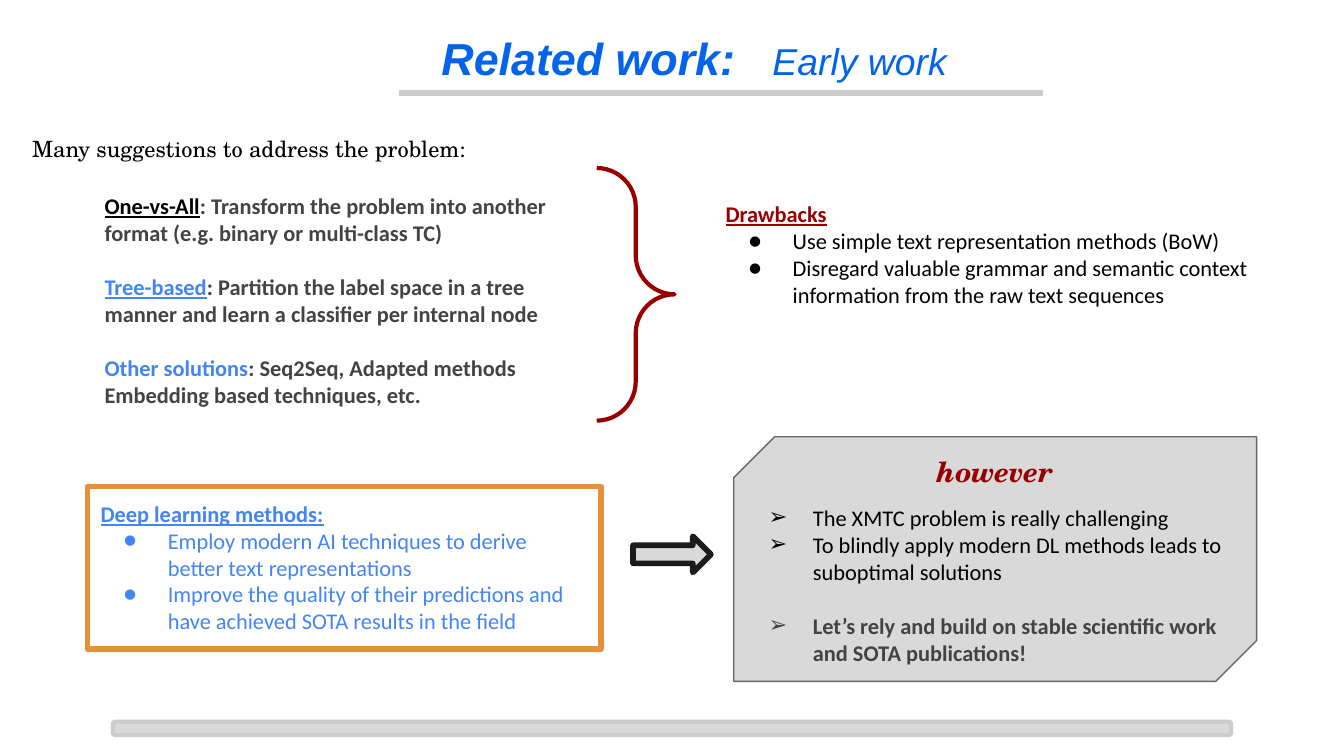
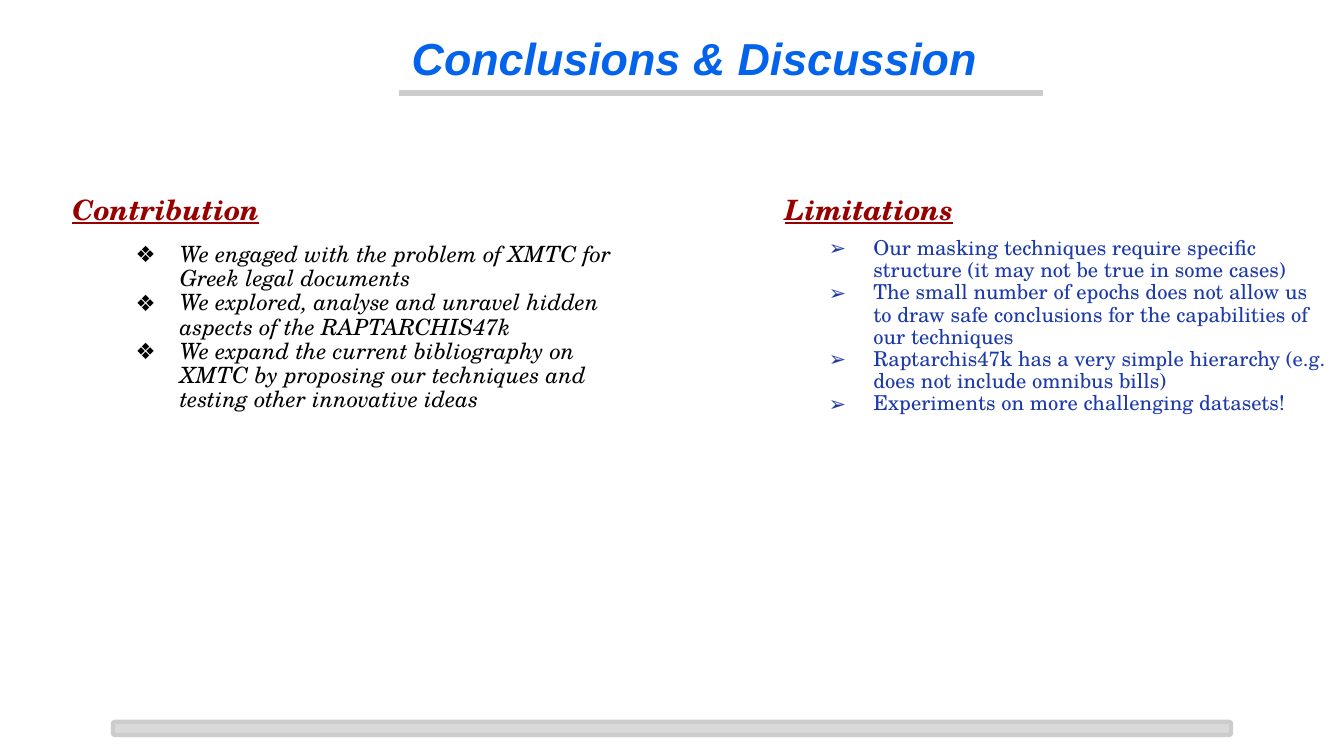
"""Builds two slides, related work and conclusions, of a talk on XMTC."""
from lxml import etree
from pptx import Presentation
from pptx import util as u
from pptx.dml.color import RGBColor
from pptx.enum import shapes, text
from pptx.oxml.ns import qn

C = {"blue": "0363EB", "rule": "CCCCCC", "grey": "D9D9D9", "black": "000000",
     "dark": "434343", "sky": "4285F4", "red": "980000", "orange": "E69138",
     "ink": "1D1A1D", "edge": "666666", "navy": "1C3AA9"}
TITLE = {"name": "Arial", "size": 24, "color": "blue", "bold": True, "italic": True}
BODY = {"name": "Calibri", "size": 12, "color": "black"}
SERIF = {**BODY, "name": "TeX Gyre Schola"}
HEAD = {**SERIF, "size": 15, "color": "red", "bold": True, "italic": True}
BOLD = {**BODY, "color": "dark", "bold": True}
SKY = {**BODY, "color": "sky"}
LABEL = {"bold": True, "underline": True}
TIGHT = {"line_spacing": 0.9}
CENTER = {"alignment": text.PP_ALIGN.CENTER}
GAP = {"space_before": u.Pt(14.6)}

prs = Presentation()
prs.slide_width, prs.slide_height = u.Inches(10), u.Inches(5.625)
CELL = prs.slide_width / 100


def write(s, box, paras, sp=None, grow=True, anchor=text.MSO_ANCHOR.TOP):
    """Fill a shape, or a new text box, with (runs, format, bullet) paragraphs."""
    sp = sp or s.shapes.add_textbox(*[round(v * CELL) for v in box])
    tf = sp.text_frame
    fit = text.MSO_AUTO_SIZE.SHAPE_TO_FIT_TEXT if grow else text.MSO_AUTO_SIZE.NONE
    frame = {"word_wrap": True, "auto_size": fit, "vertical_anchor": anchor}
    frame.update({f"margin_{side}": u.Inches(0.1) for side in ("left", "right", "top", "bottom")})
    for key, value in frame.items():
        setattr(tf, key, value)
    for i, (runs, fmt, bullet) in enumerate(paras):
        p = tf.add_paragraph() if i else tf.paragraphs[0]
        for key, value in {"alignment": text.PP_ALIGN.LEFT, **fmt}.items():
            setattr(p, key, value)
        for words, font in runs:
            r = p.add_run()
            r.text = words
            for key, value in font.items():
                if key == "color":
                    r.font.color.rgb = RGBColor.from_string(C[value])
                elif key == "spacing":
                    r.font._element.set("spc", str(value))
                else:
                    setattr(r.font, key, u.Pt(value) if key == "size" else value)
        if bullet:
            pPr = p._p.get_or_add_pPr()
            pPr.set("marL", str(u.Inches(0.5)))
            pPr.set("indent", str(-u.Inches(0.33)))
            clr = etree.SubElement(pPr, qn("a:buClr"))
            etree.SubElement(clr, qn("a:srgbClr")).set("val", C[runs[0][1]["color"]])
            etree.SubElement(pPr, qn("a:buFont")).set("typeface", runs[0][1]["name"])
            etree.SubElement(pPr, qn("a:buChar")).set("char", bullet)


def draw(s, kind, box, fill, line, width, adj=()):
    """Add a preset shape without shadow."""
    sp = s.shapes.add_shape(getattr(shapes.MSO_SHAPE, kind), *[round(v * CELL) for v in box])
    sp.shadow.inherit = False
    if fill:
        sp.fill.solid()
        sp.fill.fore_color.rgb = RGBColor.from_string(C[fill])
    else:
        sp.fill.background()
    sp.line.color.rgb = RGBColor.from_string(C[line])
    sp.line.width = u.Pt(width)
    for i, value in enumerate(adj):
        sp.adjustments[i] = value
    return sp


titles = [
    [("Related work:", TITLE), (" ", {**TITLE, "spacing": 1330}),
     ("Early work", {**TITLE, "size": 20, "bold": False})],
    [("Conclusions & Discussion", TITLE)],
]
slides = []
for title in titles:
    s = prs.slides.add_slide(prs.slide_layouts[6])
    rule = s.shapes.add_connector(shapes.MSO_CONNECTOR.STRAIGHT,
                                  *[round(v * CELL) for v in (29.7, 6.9, 77.6, 6.9)])
    rule.line.color.rgb = RGBColor.from_string(C["rule"])
    rule.line.width = u.Pt(3)
    etree.SubElement(rule._element.spPr, qn("a:effectLst"))
    write(s, (29.4, 1.3, 44.5, 6.3), [(title, CENTER, None)], grow=False)
    draw(s, "ROUNDED_RECTANGLE", (8.4, 53.7, 83.2, 1), "grey", "rule", 2.25, [0.167])
    slides.append(s)
related, conclusions = slides

write(related, (1.4, 9.3, 37.6, 4.9),
      [([("Many suggestions to address the problem:", SERIF)], TIGHT, None)], grow=False)
solutions = [
    ("One-vs-All", {**BODY, **LABEL},
     ": Transform the problem into another format (e.g. binary or multi-class TC)"),
    ("Tree-based", {**SKY, **LABEL},
     ": Partition the label space in a tree manner and learn a classifier per internal node"),
    ("Other solutions", {**SKY, "bold": True},
     ": Seq2Seq, Adapted methods Embedding based techniques, etc."),
]
write(related, (6.8, 13.3, 37.6, 18.2),
      [([(name, font), (rest, BOLD)], GAP if i else {}, None)
       for i, (name, font, rest) in enumerate(solutions)])

drawbacks = ["Use simple text representation methods (BoW)",
             "Disregard valuable grammar and semantic context information from the raw text sequences"]
write(related, (53, 13.9, 43.8, 10.1),
      [([("Drawbacks", {**BODY, **LABEL, "color": "red"})], {}, None)]
      + [([(words, BODY)], {}, "●") for words in drawbacks])

deep = ["Employ modern AI techniques to derive better text representations",
        "Improve the quality of their predictions and have achieved SOTA results in the field"]
frame = draw(related, "RECTANGLE", (6.5, 36.2, 38.2, 12.1), None, "orange", 3)
write(related, None,
      [([("Deep learning methods:", {**SKY, **LABEL})], {}, None)]
      + [([(words, SKY)], {}, "●") for words in deep], sp=frame)

draw(related, "RIGHT_BRACE", (44.4, 12.5, 5.8, 18.8), None, "red", 2.25, [0.5, 0.5])
draw(related, "RIGHT_ARROW", (47.1, 39.9, 5.8, 2.7), "grey", "ink", 3, [0.5, 0.5])
card = draw(related, "SNIP_2_DIAG_RECTANGLE", (54.6, 32.5, 38.9, 18.2), "grey", "edge", 0.75, [0, 0.167])
card._element.spPr.xfrm.set("flipH", "1")
cautions = [("The XMTC problem is really challenging", BODY, {}),
            ("To blindly apply modern DL methods leads to suboptimal solutions", BODY, {}),
            ("Let’s rely and build on stable scientific work and SOTA publications!", BOLD, GAP)]
write(related, (54.5, 36.5, 38.9, 14.1),
      [([(words, font)], fmt, "➢") for words, font, fmt in cautions])
write(related, (66.3, 33.1, 15.4, 4.3), [([("however", HEAD)], {**TIGHT, **CENTER}, None)])

contribution = ["We engaged with the problem of XMTC for Greek legal documents",
                "We explored, analyse and unravel hidden aspects of the RAPTARCHIS47k",
                "We expand the current bibliography on XMTC by proposing our techniques "
                "and testing other innovative ideas"]
limitations = ["Our masking techniques require specific structure (it may not be true in some cases)",
               "The small number of epochs does not allow us to draw safe conclusions "
               "for the capabilities of our techniques",
               "Raptarchis47k has a very simple hierarchy (e.g. does not include omnibus bills)",
               "Experiments on more challenging datasets!"]
columns = [
    ("Contribution", 4.4, (7.4, 17.1, 41.5, 14.7), contribution, "❖",
     {**SERIF, "italic": True}, text.MSO_ANCHOR.TOP),
    ("Limitations", 57.4, (59, 16.6, 41, 15.4), limitations, "➢",
     {**SERIF, "size": 11, "color": "navy"}, text.MSO_ANCHOR.MIDDLE),
]
for head, left, box, points, bullet, font, anchor in columns:
    write(conclusions, box, [([(words, font)], TIGHT, bullet) for words in points], anchor=anchor)
    write(conclusions, (left, 13.6, 20.2, 4.3),
          [([(head, {**HEAD, "underline": True})], TIGHT, None)])

prs.save("out.pptx")
